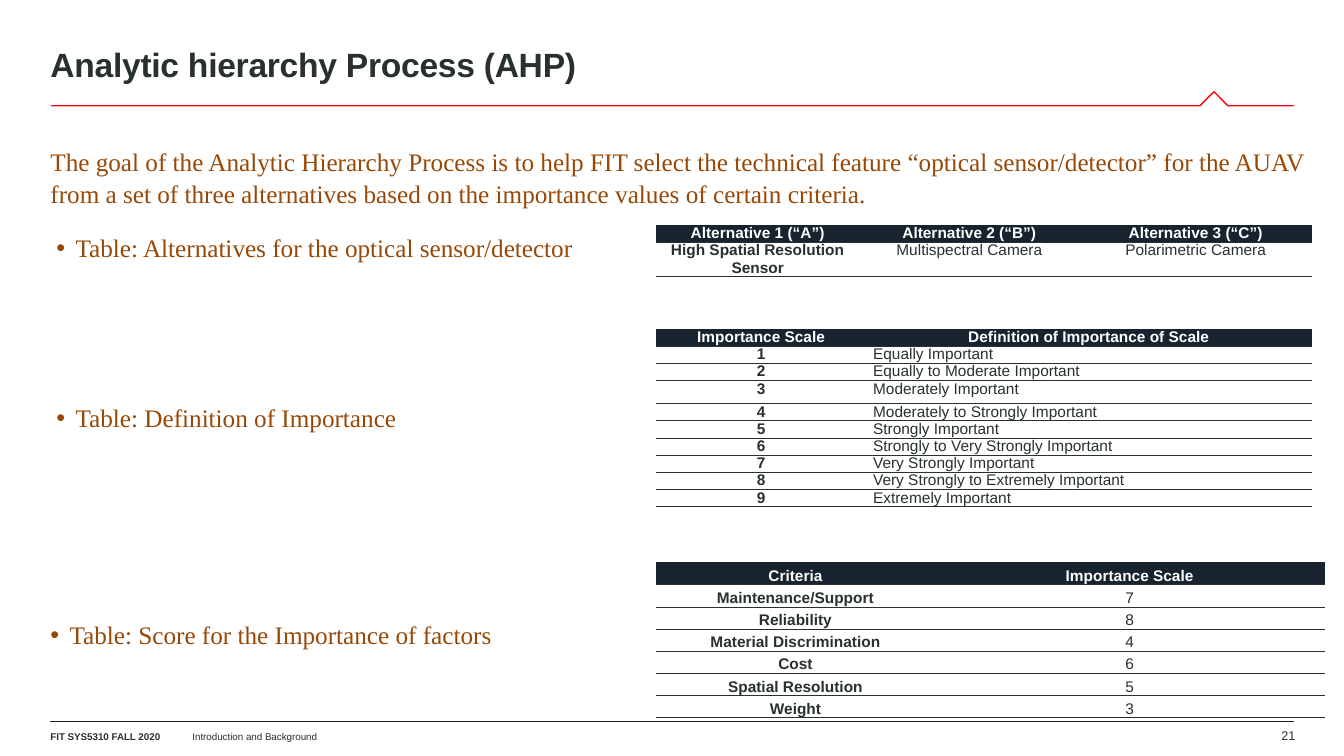
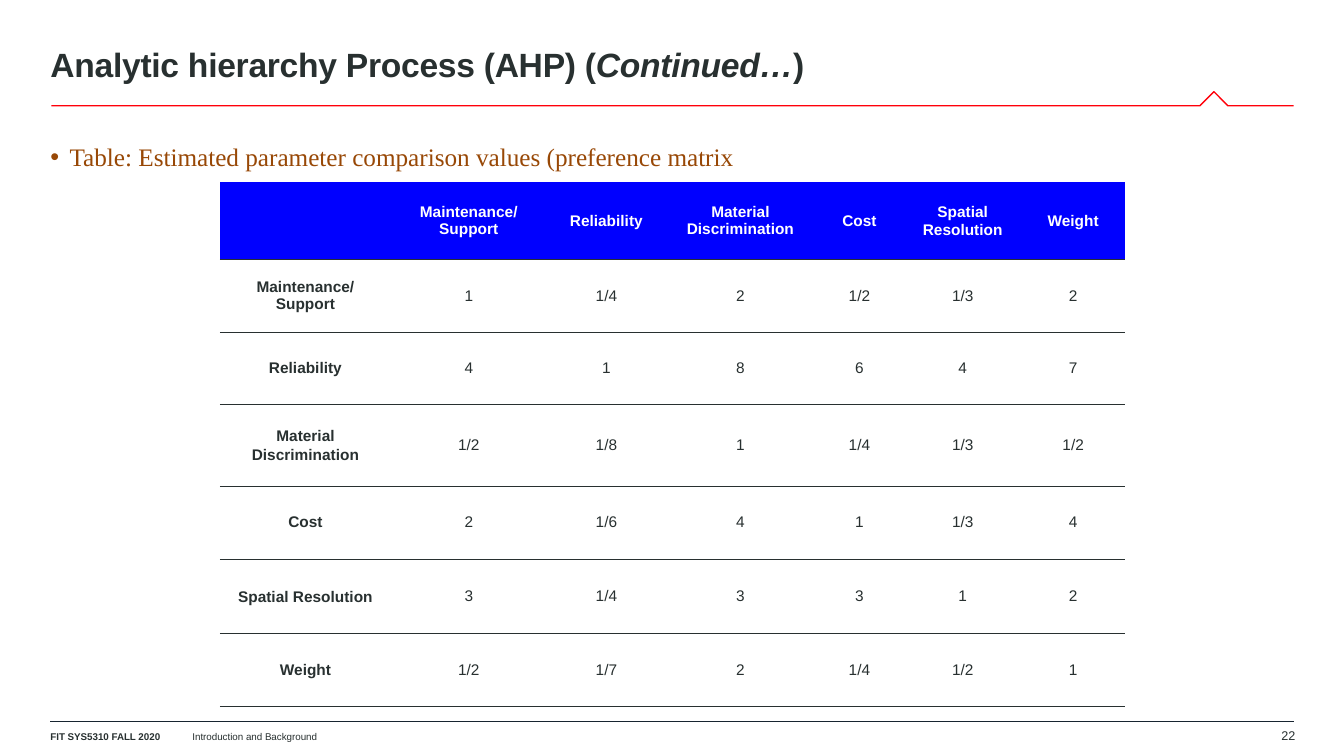
from lxml import etree
from pptx import Presentation
from pptx.dml.color import RGBColor
from pptx.enum.shapes import MSO_CONNECTOR as CONNECTOR
from pptx.enum.text import MSO_ANCHOR as ANCHOR, MSO_AUTO_SIZE as AUTO, PP_ALIGN as ALIGN
from pptx.oxml.ns import qn
from pptx.util import Pt

PX = 9144  # EMU in one px, 100 px to the inch

INK, NAVY, BLUE = "283030", "172430", "0000FF"
RED, BROWN, WHITE = "FF000A", "984806", "FFFFFF"

TITLE_FONT = dict(name="Arial", size=Pt(24), bold=True, color=INK)
BODY_FONT = dict(name="Times New Roman", size=Pt(18), color=BROWN)
CELL_FONT = dict(name="Arial", size=Pt(11))
FOOTER_FONT = dict(name="Arial", size=Pt(7), color=INK)
TITLE_PARA = dict(alignment=ALIGN.LEFT, line_spacing=0.85)
BODY_PARA = dict(alignment=ALIGN.LEFT, line_spacing=1.05, space_before=Pt(9))

BULLET_INDENT = 19
NO_STYLE = "{2D5ABB26-0587-4C30-8999-92F81FD0307C}"


def rgb(value):
    return RGBColor.from_string(value)


def place(sp, box):
    for name, value in zip(("left", "top", "width", "height"), box):
        setattr(sp, name, value * PX)


def set_frame(tf, margins=(0, 0, 0, 0), anchor=ANCHOR.TOP):
    tf.word_wrap = True
    tf.auto_size = AUTO.NONE
    tf.vertical_anchor = anchor
    for side, value in zip(("left", "top", "right", "bottom"), margins):
        setattr(tf, f"margin_{side}", value * PX)


def format_font(font, values):
    for name, value in values.items():
        if name == "color":
            font.color.rgb = rgb(value)
        else:
            setattr(font, name, value)


def write(tf, runs, font, para=None):
    """Fill the first paragraph; runs is a string or (text, extra format) pairs."""
    p = tf.paragraphs[0]
    for name, value in (para or {}).items():
        setattr(p, name, value)
    for text, extra in [(runs, {})] if isinstance(runs, str) else runs:
        r = p.add_run()
        r.text = text
        format_font(r.font, {**font, **extra})
    return p


def set_bullet(p, char=None):
    pPr = p._p.get_or_add_pPr()
    indent = BULLET_INDENT * PX if char else 0
    pPr.set("marL", str(indent))
    pPr.set("indent", str(-indent))
    if char:
        etree.SubElement(pPr, qn("a:buFont")).set("typeface", "Arial")
        etree.SubElement(pPr, qn("a:buChar")).set("char", char)
    else:
        etree.SubElement(pPr, qn("a:buNone"))


def add_text(s, box, text, font, margins=(0, 0, 0, 0), anchor=ANCHOR.TOP):
    sp = s.shapes.add_textbox(*(v * PX for v in box))
    set_frame(sp.text_frame, margins, anchor)
    write(sp.text_frame, text, font)


def set_body(sp, box, text, bullet="•"):
    place(sp, box)
    set_frame(sp.text_frame)
    set_bullet(write(sp.text_frame, text, BODY_FONT, BODY_PARA), bullet)


def add_caption(s, left, top, text):
    sp = s.shapes.add_textbox(0, 0, PX, PX)
    set_body(sp, (left, top, 595, 42), text)


def add_title_rule(s):
    """Red line with a small peak near its right end."""
    fb = s.shapes.build_freeform(1283, 105, scale=PX)
    fb.add_line_segments([(1218, 105), (1204, 91), (1190, 105), (51, 105)], close=False)
    sp = fb.convert_to_shape()
    sp.shadow.inherit = False
    sp.fill.background()
    sp.line.color.rgb = rgb(RED)
    sp.line.width = Pt(1)


def add_footer(s, number):
    line = s.shapes.add_connector(
        CONNECTOR.STRAIGHT, 50 * PX, 715 * PX, 1283 * PX, 715 * PX)
    line.line.color.rgb = rgb(NAVY)
    line.line.width = Pt(0.25)
    etree.SubElement(line._element.spPr, qn("a:effectLst"))
    add_text(s, (50, 725, 125, 15), "FIT SYS5310 FALL 2020", {**FOOTER_FONT, "bold": True})
    add_text(s, (181, 720, 409, 22), "Introduction and Background", FOOTER_FONT,
             (10, 5, 10, 5), ANCHOR.MIDDLE)
    add_text(s, (1261, 715, 45, 29), str(number), {**FOOTER_FONT, "size": Pt(9)},
             (10, 5, 10, 5), ANCHOR.MIDDLE)


def add_slide(prs, title, number):
    s = prs.slides.add_slide(prs.slide_layouts[1])
    add_title_rule(s)
    add_footer(s, number)
    sp = s.shapes.title
    place(sp, (50, 32, 1000, 70))
    set_frame(sp.text_frame, anchor=ANCHOR.MIDDLE)
    p = write(sp.text_frame, title, TITLE_FONT, TITLE_PARA)
    for r in p.runs:
        r._r.get_or_add_rPr().set("spc", "-20")
    return s


def rule_cell(cell):
    """Draw thin lines above and below a cell."""
    tcPr = cell._tc.get_or_add_tcPr()
    for i, tag in enumerate(("a:lnT", "a:lnB")):
        ln = etree.Element(qn(tag), w=str(Pt(0.25)))
        fill = etree.SubElement(ln, qn("a:solidFill"))
        etree.SubElement(fill, qn("a:srgbClr")).set("val", INK)
        tcPr.insert(i, ln)


def add_grid(s, left, top, widths, heights, rows, header=NAVY, anchor=ANCHOR.TOP,
             left_cols=(), loose=()):
    """Add a table; loose lists the (row, column) cells with wider line spacing."""
    frame = s.shapes.add_table(len(rows), len(widths), left * PX, top * PX,
                               sum(widths) * PX, sum(heights) * PX)
    table = frame.table
    table.first_row = table.horz_banding = False
    table._tbl.tblPr.find(qn("a:tableStyleId")).text = NO_STYLE
    for col, width in zip(table.columns, widths):
        col.width = width * PX
    for i, (row, height) in enumerate(zip(rows, heights)):
        table.rows[i].height = height * PX
        for j, text in enumerate(row):
            cell = table.cell(i, j)
            cell.margin_left = cell.margin_right = 7 * PX
            cell.margin_top = cell.margin_bottom = 0
            cell.vertical_anchor = anchor
            if i == 0:
                cell.fill.solid()
                cell.fill.fore_color.rgb = rgb(header)
            else:
                cell.fill.background()
                rule_cell(cell)
            font = {**CELL_FONT, "bold": i == 0 or j == 0, "color": INK if i else WHITE}
            para = dict(alignment=ALIGN.LEFT if i and j in left_cols else ALIGN.CENTER)
            if (i, j) in loose:
                para["line_spacing"] = 1.07
            write(cell.text_frame, text, font, para)


def build_scales(prs):
    s = add_slide(prs, "Analytic hierarchy Process (AHP)", 21)
    set_body(s.placeholders[1], (50, 144, 1251, 70),
             "The goal of the Analytic Hierarchy Process is to help FIT select the technical "
             "feature “optical sensor/detector” for the AUAV from a set of three alternatives "
             "based on the importance values of certain criteria.", bullet=None)
    add_caption(s, 56, 229, "Table: Alternatives for the optical sensor/detector")
    add_caption(s, 56, 398, "Table: Definition of Importance")
    add_caption(s, 50, 613, "Table: Score for the Importance of factors")

    add_grid(s, 651, 223, (201, 219, 230), (17, 34), [
        ("Alternative 1 (“A”)", "Alternative 2 (“B”)", "Alternative 3 (“C”)"),
        ("High Spatial Resolution Sensor", "Multispectral Camera", "Polarimetric Camera"),
    ])

    definitions = (
        "Equally Important", "Equally to Moderate Important", "Moderately Important",
        "Moderately to Strongly Important", "Strongly Important",
        "Strongly to Very Strongly Important", "Very Strongly Important",
        "Very Strongly to Extremely Important", "Extremely Important")
    scale = [(str(n), text) for n, text in enumerate(definitions, 1)]
    add_grid(s, 651, 326, (208, 442), [17] * 3 + [23] + [17] * 6,
             [("Importance Scale", "Definition of Importance of Scale"), *scale],
             left_cols=(1,))

    add_grid(s, 651, 558, (276, 387), [22] * 7, [
        ("Criteria", "Importance Scale"),
        ("Maintenance/Support", "7"),
        ("Reliability", "8"),
        ("Material Discrimination", "4"),
        ("Cost", "6"),
        ("Spatial Resolution", "5"),
        ("Weight", "3"),
    ], anchor=ANCHOR.BOTTOM, loose={(3, 0), (3, 1), (5, 0)})


def build_matrix(prs):
    title = [("Analytic hierarchy Process (AHP) (", {}),
             ("Continued…", {"italic": True}), (")", {})]
    s = add_slide(prs, title, 22)
    set_body(s.placeholders[1], (50, 139, 1052, 42),
             "Table: Estimated parameter comparison values (preference matrix")
    criteria = ("Maintenance/ Support", "Reliability", "Material Discrimination",
                "Cost", "Spatial Resolution", "Weight")
    preferences = (
        ("1", "1/4", "2", "1/2", "1/3", "2"),
        ("4", "1", "8", "6", "4", "7"),
        ("1/2", "1/8", "1", "1/4", "1/3", "1/2"),
        ("2", "1/6", "4", "1", "1/3", "4"),
        ("3", "1/4", "3", "3", "1", "2"),
        ("1/2", "1/7", "2", "1/4", "1/2", "1"),
    )
    rows = [("", *criteria)] + [(c, *v) for c, v in zip(criteria, preferences)]
    add_grid(s, 218, 181, (170, 154, 119, 147, 89, 116, 103),
             (76, 73, 71, 81, 73, 73, 73), rows, header=BLUE,
             anchor=ANCHOR.MIDDLE, loose={(0, 5), (3, 0), (5, 0)})


def main():
    prs = Presentation()
    prs.slide_width, prs.slide_height = 1333 * PX, 750 * PX
    build_scales(prs)
    build_matrix(prs)
    prs.save("out.pptx")


if __name__ == "__main__":
    main()
